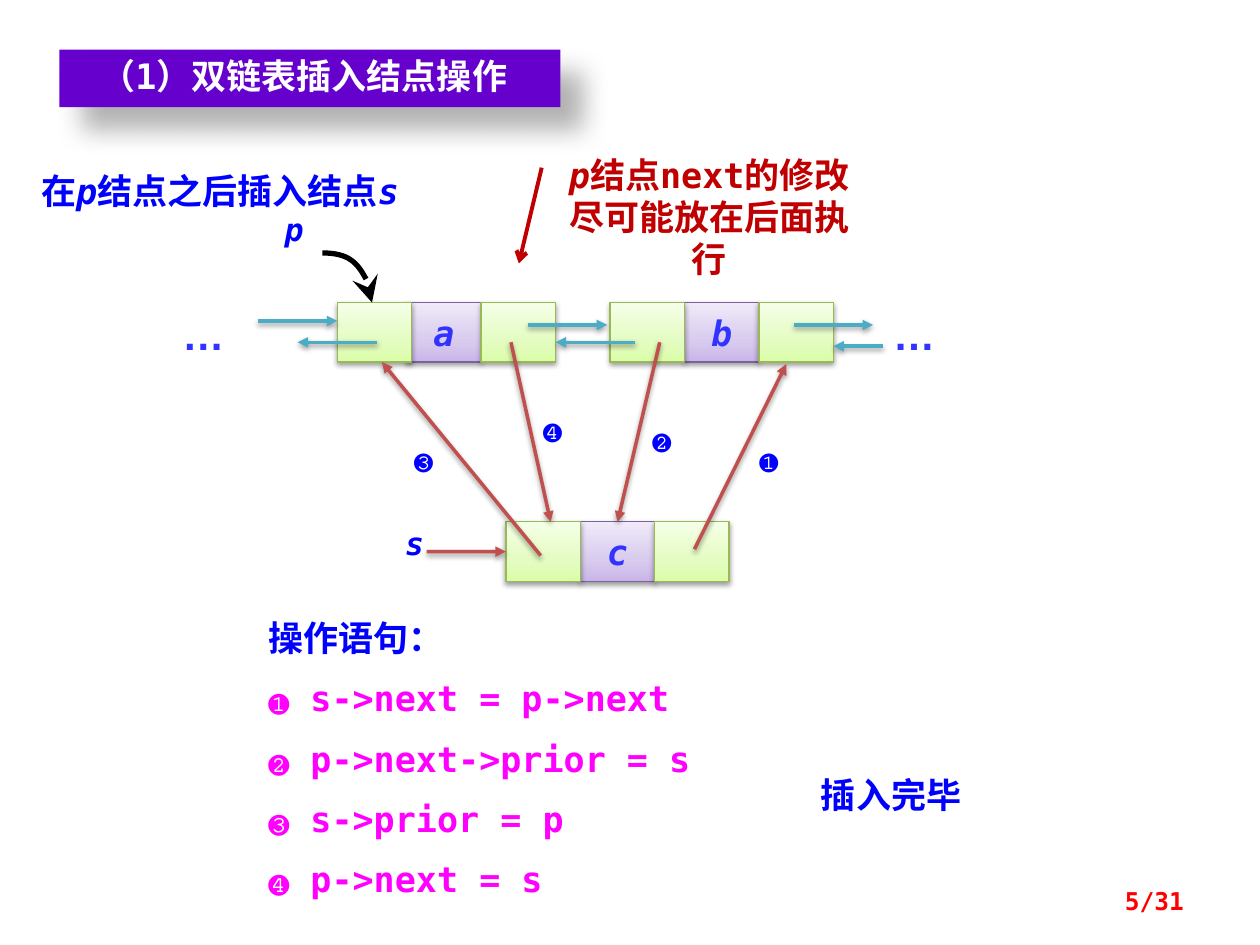
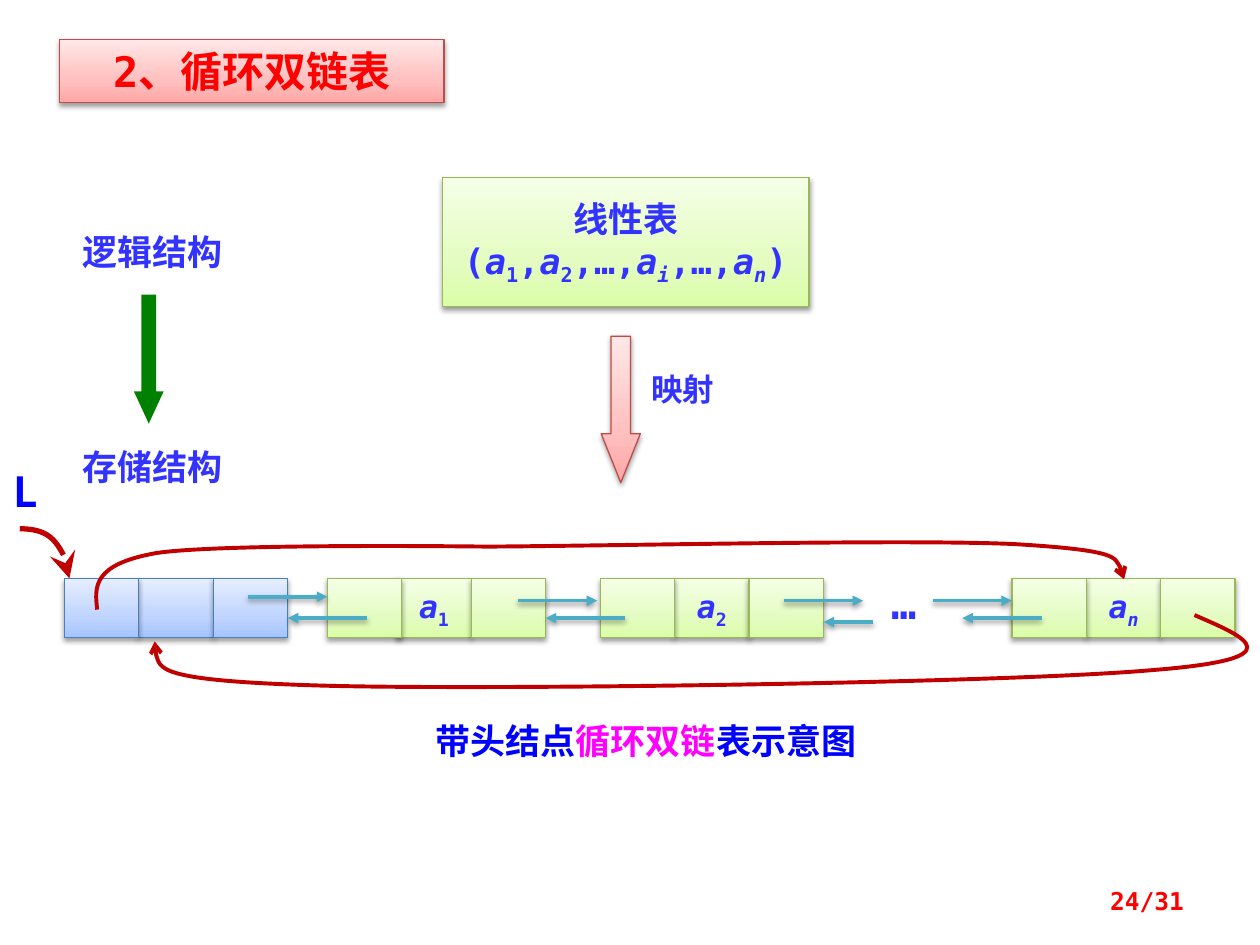
import copy

import pptx
import pptx.dml.color
import pptx.enum.shapes
import pptx.enum.text
import pptx.oxml.ns
import pptx.util
from lxml import etree

Cm, Pt = pptx.util.Cm, pptx.util.Pt
qn = pptx.oxml.ns.qn
SHAPE = pptx.enum.shapes.MSO_SHAPE
ALIGN = pptx.enum.text.PP_ALIGN

COLORS = {
    "blue": "0000FF", "indigo": "3333FF", "magenta": "FF00FF", "red": "FF0000",
    "crimson": "C00000", "brick": "C0504D", "teal": "4BACC6", "black": "000000",
    "white": "FFFFFF", "title": "6600CC", "green": "008000",
}
# Gradients run from the bottom edge (0) to the top edge (1); the last entry is the outline
THEMES = {
    "purple": ("C9B5E8", "D8CBEE", "F0EAF9", "7D60A0"),
    "lime": ("DAFDA7", "E4FCC2", "F5FFE7", "98B955"),
    "sky": ("A4C4FF", "BFD4FF", "E6EEFF", "4B7EBC"),
    "rose": ("FFA6A5", "FFC0BF", "FFE7E7", "BF4C48"),
}
MONO, HAN, ARIAL = "DejaVu Sans Mono", "Noto Sans CJK SC", "Arial"
SOFT_SHADOW = (38, 3.1, 1.6, 90)
LONG_SHADOW = (30, 15, 18, 45)
CELL_W, CELL_H = 1.5, 1.2
ITALIC, SUB = {"italic": True}, {"sub": True}
ITALIC_SUB = {**ITALIC, **SUB}


def rgb(name):
    return pptx.dml.color.RGBColor.from_string(COLORS.get(name, name))


# Formatting helpers
def set_shadow(item, shadow=None):
    effects = etree.SubElement(item._element.spPr, qn("a:effectLst"))
    if shadow:
        alpha, blur, distance, angle = shadow
        outer = etree.SubElement(
            effects, qn("a:outerShdw"), blurRad=str(Pt(blur)), dist=str(Pt(distance)),
            dir=str(angle * 60000), algn="ctr", rotWithShape="0")
        black = etree.SubElement(outer, qn("a:srgbClr"), val=COLORS["black"])
        etree.SubElement(black, qn("a:alpha"), val=str(alpha * 1000))


def set_stroke(item, color, width, head, head_size="med"):
    item.line.color.rgb = rgb(color)
    item.line.width = Pt(width)
    etree.SubElement(item.line._get_or_add_ln(), qn("a:tailEnd"),
                     type=head, w=head_size, len=head_size)


def set_gradient(shape, theme):
    *shades, outline = THEMES[theme]
    shape.fill.gradient()
    shape.fill.gradient_angle = 90
    stop_list = shape._element.spPr.find(".//" + qn("a:gsLst"))
    stop_list.append(copy.deepcopy(stop_list[0]))
    for stop, position, shade in zip(shape.fill.gradient_stops, (0, 0.35, 1), shades):
        stop.position = position
        stop.color.rgb = rgb(shade)
    shape.line.color.rgb = rgb(outline)
    shape.line.width = Pt(0.75)


def write(frame, paragraphs, size, color, font=MONO, align=None, gap=0, bold=True):
    """Each paragraph is a string or a list of (text, style) runs."""
    for index, content in enumerate(paragraphs):
        paragraph = frame.paragraphs[0] if index == 0 else frame.add_paragraph()
        paragraph.alignment = align
        if index and gap:
            paragraph.space_before = Pt(gap)
        paragraph.font.name = font
        paragraph.font.size = Pt(size)
        paragraph.font.bold = bold
        paragraph.font.color.rgb = rgb(color)
        runs = [(content, {})] if isinstance(content, str) else content
        for text, style in runs:
            run = paragraph.add_run()
            run.text = text
            if style.get("italic"):
                run.font.italic = True
            if style.get("sub"):
                run._r.get_or_add_rPr().set("baseline", "-25000")
            if "color" in style:
                run.font.color.rgb = rgb(style["color"])


# Basic parts
def label(slide, box, paragraphs, size, color, **style):
    frame = slide.shapes.add_textbox(*map(Cm, box)).text_frame
    frame.word_wrap = True
    write(frame, paragraphs, size, color, **style)
    return frame


def block(slide, box, fill, kind=SHAPE.RECTANGLE, shadow=None):
    shape = slide.shapes.add_shape(kind, *map(Cm, box))
    if fill in THEMES:
        set_gradient(shape, fill)
        shadow = SOFT_SHADOW
    else:
        shape.fill.solid()
        shape.fill.fore_color.rgb = rgb(fill)
        shape.line.fill.background()
    set_shadow(shape, shadow)
    return shape


def down_arrow(slide, box, fill, head_length):
    shape = block(slide, box, fill, SHAPE.DOWN_ARROW)
    shape.adjustments[0] = 0.5
    shape.adjustments[1] = head_length


def arrow(slide, start, end, color, width=2, head="triangle", shadow=SOFT_SHADOW):
    link = slide.shapes.add_connector(
        pptx.enum.shapes.MSO_CONNECTOR.STRAIGHT, *map(Cm, (*start, *end)))
    set_stroke(link, color, width, head)
    set_shadow(link, shadow)
    return link


def curve(slide, origin, points, color, width, head, head_size="med"):
    """Draw a start point followed by Bezier triples, relative to origin."""
    start, *controls = [(Cm(origin[0] + x), Cm(origin[1] + y)) for x, y in points]
    builder = slide.shapes.build_freeform(*start)
    builder.add_line_segments(controls, close=False)
    shape = builder.convert_to_shape()
    outline = shape._element.find(".//" + qn("a:path"))
    segments = outline.findall(qn("a:lnTo"))
    for index in range(0, len(segments), 3):
        bezier = etree.SubElement(outline, qn("a:cubicBezTo"))
        for segment in segments[index:index + 3]:
            bezier.append(segment[0])
            outline.remove(segment)
    shape.fill.background()
    set_stroke(shape, color, width, head, head_size)
    set_shadow(shape)


# Shared regions
def title_bar(slide, box, text, size, color, fill, shadow=None):
    bar = block(slide, box, fill, shadow=shadow)
    bar.text_frame.word_wrap = True
    write(bar.text_frame, [text], size, color, align=ALIGN.CENTER)
    return bar


def page_number(slide, text):
    frame = label(slide, (18.2, 17.65, 5.92, 1.02), [text], 14, "red", align=ALIGN.RIGHT)
    frame.vertical_anchor = pptx.enum.text.MSO_ANCHOR.MIDDLE


def node(slide, left, top, runs=(), size=20, ends="lime", middle="lime", overlap=0):
    """Prior, data and next cells; returns the prior and data cells."""
    middle_left = left + CELL_W - overlap
    data = block(slide, (middle_left, top, CELL_W, CELL_H), middle)
    data.text_frame.word_wrap = False
    write(data.text_frame, [runs], size, "indigo", align=ALIGN.CENTER)
    block(slide, (middle_left + CELL_W, top, CELL_W, CELL_H), ends)
    prior = block(slide, (left, top, CELL_W, CELL_H), ends)
    return prior, data


def chain(slide, left, top, first, second, **style):
    """Two neighbouring nodes with the links between and around them."""
    node(slide, left, top, first, overlap=0.1, **style)
    node(slide, left + 5.5, top, second, **style)
    links = [(-1.6, 0, 0.37), (3.84, 5.44, 0.45), (9.2, 10.8, 0.45),
             (0.8, -0.8, 0.8), (6, 4.4, 0.8), (11, 10, 0.88)]
    for start, end, drop in links:
        arrow(slide, (left + start, top + drop), (left + end, top + drop), "teal")


def ellipsis(slide, left, top, font):
    label(slide, (left, top, 1.6, 1.27), ["…"], 24, "indigo", font=font, align=ALIGN.CENTER)


def pointer_arc(slide, left, top, color):
    curve(slide, (left, top), [(0, 0), (0.55, 0), (1, 0.45), (1, 1)],
          color, 3, "stealth", "lg")


# Slide 1: inserting a node
def insert_diagram(slide, left, top):
    chain(slide, left, top, [("a", ITALIC)], [("b", ITALIC)], middle="purple")
    prior, data = node(slide, left + 3.4, top + 4.42, [("c", ITALIC)], middle="purple")
    for offset in (-3.5, 10.83):
        ellipsis(slide, left + offset, top, ARIAL)

    # Pointers p and s
    pointer_arc(slide, left - 0.3, top - 1, "black")
    for name, x, y in (("p", -1.31, -1.99), ("s", 1.12, 4.34)):
        label(slide, (left + x, top + y, 1.2, 1.02), [[(name, ITALIC)]], 18, "blue")
    s_link = arrow(slide, (left + 1.8, top + 5.02), (left + 3.4, top + 5.02), "brick")
    s_link.end_connect(prior, 1)

    # Numbered link changes: start, end, badge position
    steps = {
        "❶": ((7.2, 4.97), (9.05, 1.24), (8.26, 2.61)),
        "❷": ((6.5, 0.8), (5.65, 4.42), (6.1, 2.2)),
        "❸": ((4.1, 5.1), (0.9, 1.2), (1.3, 2.61)),
        "❹": ((3.5, 0.8), (4.3, 4.42), (3.9, 2)),
    }
    for badge, places in steps.items():
        start, end, spot = [(left + x, top + y) for x, y in places]
        step_link = arrow(slide, start, end, "brick")
        if badge == "❷":
            step_link.end_connect(data, 0)
        label(slide, (*spot, 1.2, 1.02), [badge], 18, "blue")


def order_note(slide, left, top):
    label(slide, (left, top, 6.76, 1.96),
          [[("p", ITALIC), ("结点next的修改尽可能放在后面执行", {})]],
          20, "crimson", align=ALIGN.CENTER)
    arrow(slide, (left, top + 0.41), (left - 0.46, top + 2.34),
          "crimson", 2.25, "arrow", None)


def statements(slide, box):
    heading = [("操作语句：", {"color": "blue"})]
    label(slide, box, [heading, "❶ s->next = p->next", "❷ p->next->prior = s",
                       "❸ s->prior = p", "❹ p->next = s"], 20, "magenta", gap=10.5)


def insert_slide(slide):
    insert_diagram(slide, 6.8, 6.1)
    statements(slide, (5.16, 12.3, 9.93, 6.25))
    label(slide, (0.58, 3.3, 8.13, 1.12),
          [[("在", {}), ("p", ITALIC), ("结点之后插入结点", {}), ("s", ITALIC)]], 20, "blue")
    bar = title_bar(slide, (1.2, 1, 10.1, 1.16), "（1）双链表插入结点操作", 20,
                    "white", "title", LONG_SHADOW)
    frame = bar.text_frame
    frame.margin_left, frame.margin_top = Cm(0.2), Cm(0.1)
    frame.margin_right, frame.margin_bottom = Cm(0.45), Cm(0.2)
    label(slide, (15.88, 15.47, 4.17, 1.12), ["插入完毕"], 20, "blue",
          font=HAN, align=ALIGN.CENTER)
    order_note(slide, 10.92, 2.97)
    page_number(slide, "5/31")


# Slide 2: circular doubly linked list
def logical_list(slide, box):
    runs = [("(", {}), ("a", ITALIC), ("1", SUB), (",", {}), ("a", ITALIC), ("2", SUB),
            (",…,", {}), ("a", ITALIC), ("i", ITALIC_SUB), (",…,", {}),
            ("a", ITALIC), ("n", ITALIC_SUB), (")", {})]
    panel = block(slide, box, "lime")
    panel.text_frame.word_wrap = False
    write(panel.text_frame, ["线性表", runs], 20, "indigo", align=ALIGN.CENTER)


def structure_legend(slide, left, top):
    for text, offset in (("逻辑结构", 0), ("存储结构", 4.34)):
        label(slide, (left, top + offset, 4.8, 1.12), [text], 20, "indigo",
              font=HAN, align=ALIGN.CENTER)
    down_arrow(slide, (left + 2.02, top + 1.42, 0.6, 2.6), "green", 1.083)


def circular_list(slide, left, top):
    node(slide, left, top, ends="sky", middle="sky")
    node(slide, left + 19.1, top, [("a", ITALIC), ("n", ITALIC_SUB)], size=18)
    chain(slide, left + 5.3, top, [("a", ITALIC), ("1", SUB)],
          [("a", ITALIC), ("2", SUB)], size=18)
    ellipsis(slide, left + 16.12, top - 0.15, MONO)
    for start, end, drop in ((17.5, 19.1, 0.45), (19.7, 18.1, 0.8)):
        arrow(slide, (left + start, top + drop), (left + end, top + drop), "teal")

    # Head pointer
    pointer_arc(slide, left - 0.9, top - 1, "crimson")
    label(slide, (left - 1.3, top - 2.41, 1.2, 1.27), ["L"], 24, "blue")

    # Links closing the circle: last to head below, head to last above
    below = [(22.78, 0.74), (23.82, 1.19), (24.86, 1.62), (21.92, 1.85), (18.99, 2.11),
             (8.48, 2.26), (5.13, 2.16), (1.77, 2.06), (1.8, 1.65), (1.82, 1.27)]
    above = [(0.66, 0.63), (0.61, 0.18), (0.55, -0.28), (1.85, -0.51), (3.17, -0.71),
             (8.53, -0.64), (8.53, -0.64), (11.4, -0.66), (17.04, -0.79),
             (19.17, -0.69), (21.31, -0.56), (21.33, -0.26), (21.36, 0.02)]
    for points in (below, above):
        curve(slide, (left, top), points, "crimson", 2.25, "arrow")


def circular_slide(slide):
    logical_list(slide, (8.92, 3.58, 7.39, 2.6))
    down_arrow(slide, (12.12, 6.78, 0.79, 2.95), "rose", 1.249)
    label(slide, (12.88, 7.34, 2.59, 1.02), ["映射"], 18, "indigo", font=HAN)
    structure_legend(slide, 0.68, 4.52)
    circular_list(slide, 1.3, 11.66)
    label(slide, (8.53, 14.38, 9.73, 1.12),
          [[("带头结点", {}), ("循环双链", {"color": "magenta"}), ("表示意图", {})]],
          20, "blue", font=HAN)
    title_bar(slide, (1.2, 0.8, 7.75, 1.27), "2、循环双链表", 24, "red", "rose")
    page_number(slide, "24/31")


def main():
    deck = pptx.Presentation()
    deck.slide_width, deck.slide_height = Cm(25.4), Cm(19.05)
    for fill_slide in (insert_slide, circular_slide):
        fill_slide(deck.slides.add_slide(deck.slide_layouts[6]))
    deck.save("out.pptx")


if __name__ == "__main__":
    main()
